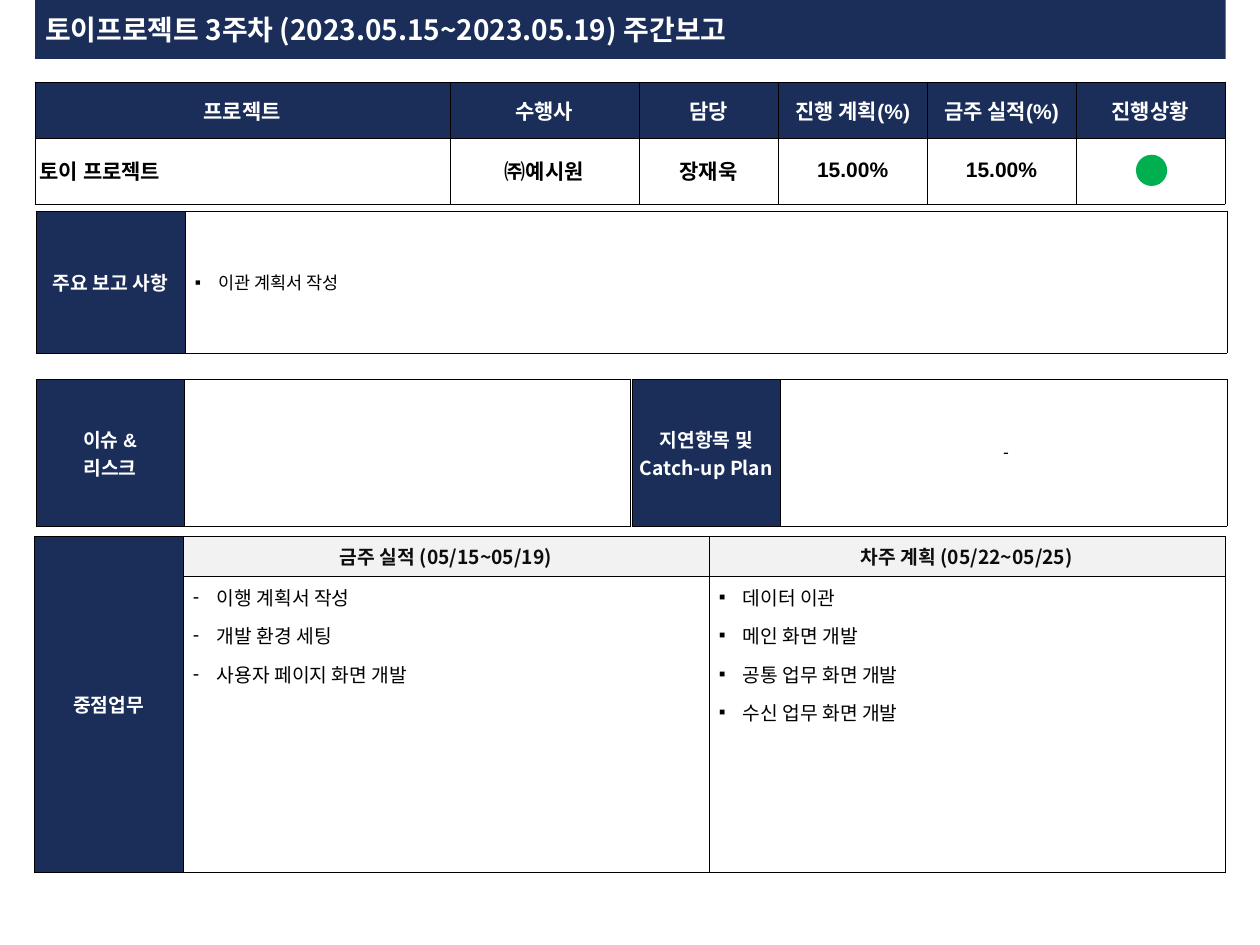
from lxml import etree
from pptx import Presentation
from pptx import util as u
from pptx.dml.color import RGBColor
from pptx.enum import shapes, text
from pptx.oxml import ns

NAVY, WHITE, BLACK, GREY, GREEN = "1B2E5A", "FFFFFF", "000000", "F2F2F2", "00B050"
KOREAN = "Noto Sans CJK KR"
CENTER, LEFT = text.PP_ALIGN.CENTER, text.PP_ALIGN.LEFT
MIDDLE, TOP = text.MSO_ANCHOR.MIDDLE, text.MSO_ANCHOR.TOP


def color(value):
    """Turn a hex string into a colour."""
    return RGBColor.from_string(value)


def add_xml(parent, tag, **attributes):
    """Append a drawing element to its parent."""
    return etree.SubElement(parent, ns.qn(tag), attributes)


def write(frame, content, size=11, font="Arial", ink=BLACK, bold=False,
          align=LEFT, before=0, after=0, spacing=None, bullet=None):
    """Write each line of content as one formatted paragraph."""
    for index, line in enumerate(content.split("\n")):
        paragraph = frame.paragraphs[0] if index == 0 else frame.add_paragraph()
        paragraph.alignment = align
        paragraph.space_before, paragraph.space_after = u.Pt(before), u.Pt(after)
        if spacing:
            paragraph.line_spacing = spacing
        if bullet:
            properties = paragraph._p.get_or_add_pPr()
            properties.set("marL", str(u.Cm(0.48)))
            properties.set("indent", str(-u.Cm(0.48)))
            add_xml(properties, "a:buFont", typeface="Arial")
            add_xml(properties, "a:buChar", char=bullet)
        run = paragraph.add_run()
        run.text = line
        run.font.size, run.font.bold, run.font.name = u.Pt(size), bold, font
        run.font.color.rgb = color(ink)
        add_xml(run._r.get_or_add_rPr(), "a:ea", typeface=KOREAN)


class Report:
    """Holds the slide and the shared look of its elements."""

    border = u.Pt(0.25)

    def __init__(self, presentation):
        """Add a blank slide."""
        self.slide = presentation.slides.add_slide(presentation.slide_layouts[6])

    def shape(self, kind, left, top, width, height, fill):
        """Add a plain filled shape."""
        shape = self.slide.shapes.add_shape(
            kind, u.Cm(left), u.Cm(top), u.Cm(width), u.Cm(height))
        shape.shadow.inherit = False
        shape.fill.solid()
        shape.fill.fore_color.rgb = color(fill)
        shape.line.fill.background()
        return shape

    def title(self, content, left, top, width, height):
        """Add the slide title."""
        box = self.slide.shapes.add_textbox(
            u.Cm(left), u.Cm(top), u.Cm(width), u.Cm(height))
        frame = box.text_frame
        frame.word_wrap = False
        frame.vertical_anchor = MIDDLE
        frame.margin_left = frame.margin_right = u.Cm(0.2)
        frame.margin_top = frame.margin_bottom = u.Cm(0.1)
        write(frame, content, size=16, font=KOREAN, ink=WHITE, bold=True)

    def table(self, left, top, columns, rows, cells, side=0.13):
        """Add a bordered table; each cell is a dict of options."""
        table = self.slide.shapes.add_table(
            len(rows), len(columns), u.Cm(left), u.Cm(top),
            u.Cm(sum(columns)), u.Cm(sum(rows))).table
        table.first_row = table.horz_banding = False
        for column, width in zip(table.columns, columns):
            column.width = u.Cm(width)
        for row, height, options in zip(table.rows, rows, cells):
            row.height = u.Cm(height)
            for cell, option in zip(row.cells, options):
                self.cell(cell, side, **option)
        return table

    def cell(self, cell, side, content="", fill=None, anchor=MIDDLE,
             inset=0.1, **style):
        """Format and fill one table cell."""
        cell.vertical_anchor = anchor
        cell.margin_left, cell.margin_right = u.Cm(inset), u.Cm(0.1)
        cell.margin_top = cell.margin_bottom = u.Cm(side)
        for tag in ("a:lnL", "a:lnR", "a:lnT", "a:lnB"):
            line = add_xml(cell._tc.get_or_add_tcPr(), tag, w=str(self.border))
            add_xml(add_xml(line, "a:solidFill"), "a:srgbClr", val=BLACK)
        if fill:
            cell.fill.solid()
            cell.fill.fore_color.rgb = color(fill)
        else:
            cell.fill.background()
        if content:
            write(cell.text_frame, content, **style)


def label(content, **style):
    """Describe a navy label cell."""
    return dict(content=content, fill=NAVY, ink=WHITE, bold=True, align=CENTER) | style


def value(content, **style):
    """Describe a bold value cell of the overview."""
    return dict(content=content, size=12, bold=True, align=CENTER, before=2.4) | style


def heading(content):
    """Describe a grey column heading."""
    return dict(content=content, fill=GREY, ink="0D0D0D", font=KOREAN,
                bold=True, align=CENTER, before=2.2)


def items(*lines, **style):
    """Describe a cell with a bulleted list."""
    return dict(content="\n".join(lines), inset=0.2, after=6, bullet="▪") | style


presentation = Presentation()
presentation.slide_width, presentation.slide_height = u.Cm(25.4), u.Cm(19.05)
report = Report(presentation)

report.shape(shapes.MSO_SHAPE.RECTANGLE, 0.71, 0, 24, 1.19, NAVY)
report.title("토이프로젝트 3주차 (2023.05.15~2023.05.19) 주간보고", 0.71, 0.15, 14.86, 0.89)

headers = ("프로젝트", "수행사", "담당", "진행 계획(%)", "금주 실적(%)", "진행상황")
report.table(0.7, 1.65, [8.37, 3.81, 2.81, 3, 3, 3], [1.13, 1.33], [
    [label(header, size=12, before=2.4) for header in headers],
    [value("토이 프로젝트", font=KOREAN, align=LEFT),
     value("㈜예시원", font=KOREAN),
     value("장재욱", before=6),
     value("15.00%", spacing=0.9),
     value("15.00%", spacing=0.9),
     {}],
], side=0.1)
report.shape(shapes.MSO_SHAPE.OVAL, 22.9, 3.12, 0.63, 0.63, GREEN)

work = report.table(0.69, 10.8, [3, 10.6, 10.4], [0.82, 5.97], [
    [label("중점업무", font=KOREAN),
     heading("금주 실적 (05/15~05/19)"),
     heading("차주 계획 (05/22~05/25)")],
    [{},
     items("이행 계획서 작성", "개발 환경 세팅", "사용자 페이지 화면 개발",
           bullet="-", anchor=TOP),
     items("데이터 이관", "메인 화면 개발", "공통 업무 화면 개발",
           "수신 업무 화면 개발", anchor=TOP)],
])
work.cell(0, 0).merge(work.cell(1, 0))

report.table(0.73, 4.25, [3, 21], [2.87], [
    [label("주요 보고 사항"), items("이관 계획서 작성", size=10)]])

risk_cells = [
    [label("이슈 &\n리스크"), {}],
    [label("지연항목 및\nCatch-up Plan", font=KOREAN),
     dict(content="-", size=10, align=CENTER, after=6, inset=0.2)],
]
for index, cells in enumerate(risk_cells):
    report.table(0.73 + index * 12.02, 7.65, [2.98, 9], [2.95], [cells])

presentation.save("out.pptx")
